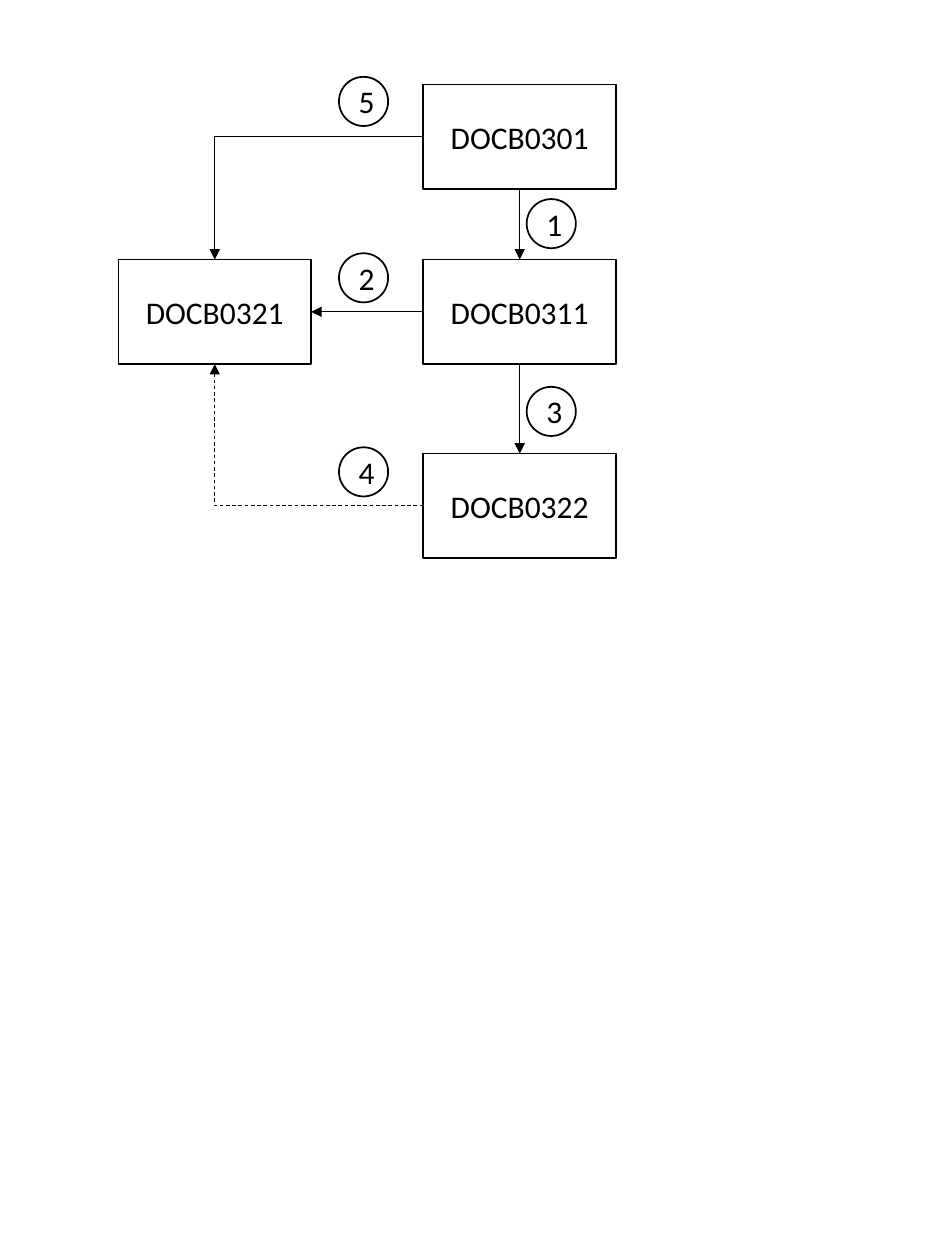
import pptx
import pptx.util
import pptx.dml.color
import pptx.enum.dml
import pptx.enum.shapes
import pptx.enum.text
import pptx.oxml.ns
from lxml import etree

Inches, Pt = pptx.util.Inches, pptx.util.Pt
SHAPES = pptx.enum.shapes.MSO_SHAPE
CONNECTORS = pptx.enum.shapes.MSO_CONNECTOR

BLACK, WHITE = "000000", "FFFFFF"
BOX_SIZE = (1.53, 0.83)
STEP_SIZE = (0.39, 0.39)
LEFT_COLUMN, RIGHT_COLUMN = 0.94, 3.36
LEFT_STEPS, RIGHT_STEPS = 2.69, 4.18
TOP, LEFT, BOTTOM = 0, 1, 2  # connection sites of a rectangle

PROGRAMS = {
    "DOCB0301": (RIGHT_COLUMN, 0.67),
    "DOCB0311": (RIGHT_COLUMN, 2.06),
    "DOCB0321": (LEFT_COLUMN, 2.06),
    "DOCB0322": (RIGHT_COLUMN, 3.6),
}
RIGHT = 3
# caller, its site, called program, its site, bent, dashed
CALLS = [
    ("DOCB0301", BOTTOM, "DOCB0311", TOP, False, False),
    ("DOCB0311", BOTTOM, "DOCB0322", TOP, False, False),
    ("DOCB0301", LEFT, "DOCB0321", TOP, True, False),
    ("DOCB0311", LEFT, "DOCB0321", RIGHT, False, False),
    ("DOCB0322", LEFT, "DOCB0321", BOTTOM, True, True),
]
STEPS = {
    "1": (RIGHT_STEPS, 1.58),
    "2": (LEFT_STEPS, 2.01),
    "3": (RIGHT_STEPS, 3.07),
    "4": (LEFT_STEPS, 3.55),
    "5": (LEFT_STEPS, 0.61),
}


def color(value):
    """Turn a hex string into a colour."""
    return pptx.dml.color.RGBColor.from_string(value)


def add_label(slide, kind, text, position, size):
    """Add an outlined shape with centred text."""
    label = slide.shapes.add_shape(kind, *map(Inches, position + size))
    label.shadow.inherit = False
    label.fill.solid()
    label.fill.fore_color.rgb = color(WHITE)
    label.line.color.rgb = color(BLACK)
    label.line.width = Pt(1)
    label.text_frame.vertical_anchor = pptx.enum.text.MSO_ANCHOR.MIDDLE
    paragraph = label.text_frame.paragraphs[0]
    paragraph.alignment = pptx.enum.text.PP_ALIGN.CENTER
    run = paragraph.add_run()
    run.text = text
    run.font.name = "Calibri"
    run.font.size = Pt(18)
    run.font.color.rgb = color(BLACK)
    return label


def add_call(slide, caller, start, called, end, bent, dashed):
    """Join two boxes with an arrow, straight or with one corner."""
    kind = CONNECTORS.ELBOW if bent else CONNECTORS.STRAIGHT
    arrow = slide.shapes.add_connector(kind, 0, 0, 0, 0)
    arrow.begin_connect(caller, start)
    arrow.end_connect(called, end)
    arrow.line.color.rgb = color(BLACK)
    arrow.line.width = Pt(0.5)
    if dashed:
        arrow.line.dash_style = pptx.enum.dml.MSO_LINE.DASH
    qn = pptx.oxml.ns.qn
    properties = arrow.element.spPr
    if bent:
        properties.find(qn("a:prstGeom")).set("prst", "bentConnector2")
    outline = properties.find(qn("a:ln"))
    etree.SubElement(outline, qn("a:tailEnd"), type="triangle")
    etree.SubElement(properties, qn("a:effectLst"))


deck = pptx.Presentation()
deck.slide_width, deck.slide_height = Inches(7.5), Inches(10)
slide = deck.slides.add_slide(deck.slide_layouts[6])

boxes = {
    name: add_label(slide, SHAPES.RECTANGLE, name, position, BOX_SIZE)
    for name, position in PROGRAMS.items()
}
for caller, start, called, end, bent, dashed in CALLS:
    add_call(slide, boxes[caller], start, boxes[called], end, bent, dashed)
for number, position in STEPS.items():
    add_label(slide, SHAPES.OVAL, number, position, STEP_SIZE)

deck.save("out.pptx")
